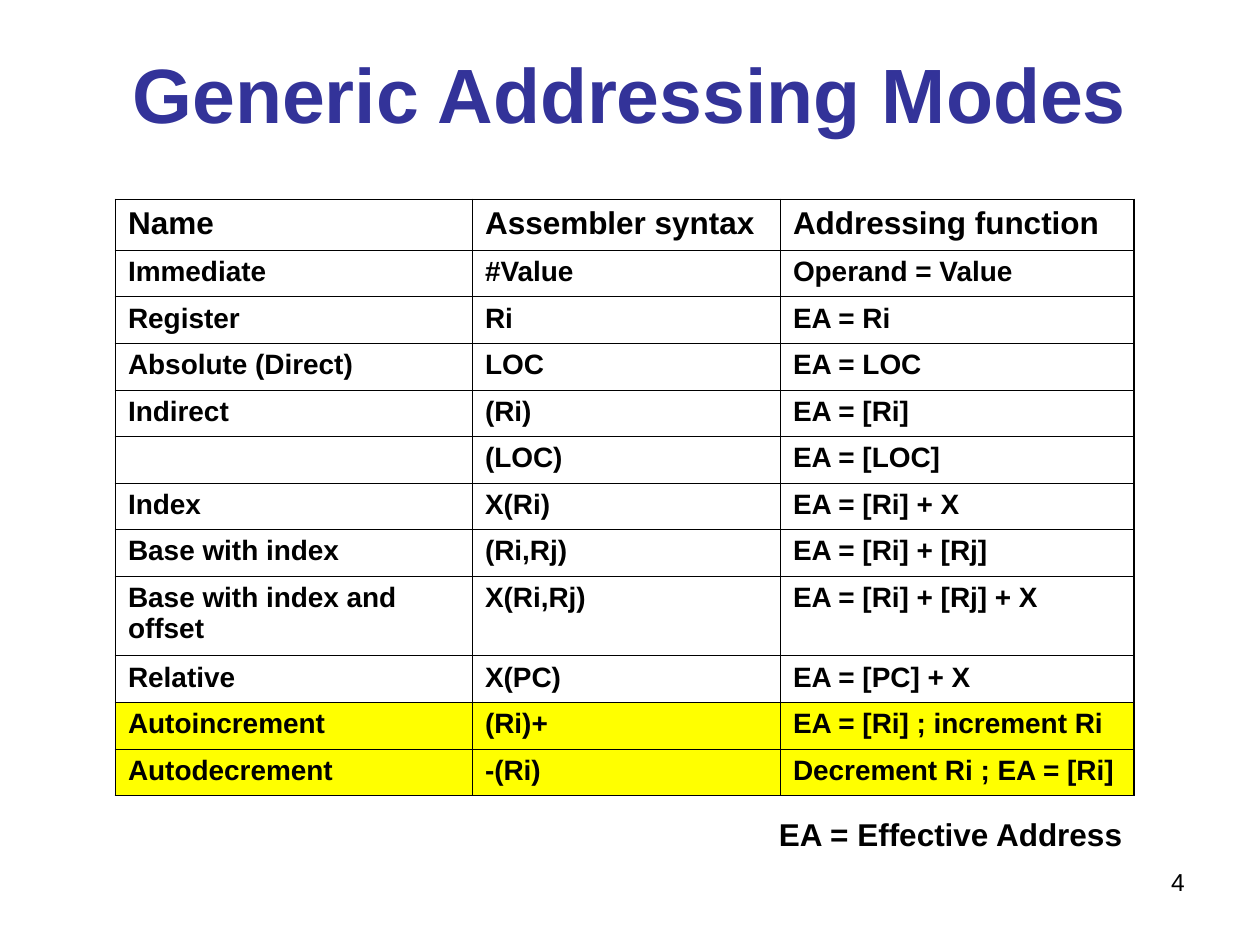
from lxml.etree import SubElement
from pptx import Presentation
from pptx.dml.color import RGBColor
from pptx.enum.text import MSO_ANCHOR as Anchor, MSO_AUTO_SIZE as AutoSize, PP_ALIGN as Align
from pptx.oxml.ns import qn
from pptx.util import Pt

BLACK, NAVY, YELLOW = "000000", "333399", "FFFF00"
THIN, THICK = 0.45, 1.08
COLUMN_WIDTHS = (204, 176, 202)
HEADER_HEIGHT, LINE_HEIGHT, WRAPPED_HEIGHT = 29, 26.6, 45.6

MODES = [
    ("Name", "Assembler syntax", "Addressing function"),
    ("Immediate", "#Value", "Operand = Value"),
    ("Register", "Ri", "EA = Ri"),
    ("Absolute (Direct)", "LOC", "EA = LOC"),
    ("Indirect", "(Ri)", "EA = [Ri]"),
    ("", "(LOC)", "EA = [LOC]"),
    ("Index", "X(Ri)", "EA = [Ri] + X"),
    ("Base with index", "(Ri,Rj)", "EA = [Ri] + [Rj]"),
    ("Base with index and offset", "X(Ri,Rj)", "EA = [Ri] + [Rj] + X"),
    ("Relative", "X(PC)", "EA = [PC] + X"),
    ("Autoincrement", "(Ri)+", "EA = [Ri] ; increment Ri"),
    ("Autodecrement", "-(Ri)", "Decrement Ri ; EA = [Ri]"),
]
HIGHLIGHTED = ("Autoincrement", "Autodecrement")


def color(hex_code):
    """Turn a hex string into a colour."""
    return RGBColor.from_string(hex_code)


def write(frame, wording, size, bold=True, ink=BLACK, align=Align.LEFT):
    """Fill a text frame with one formatted paragraph and return it."""
    frame.text = wording
    paragraph = frame.paragraphs[0]
    paragraph.alignment = align
    font = paragraph.font
    font.name, font.size, font.bold = "Arial", Pt(size), bold
    font.color.rgb = color(ink)
    return paragraph


def place_title(slide, left, top, width, height):
    """Place the heading in the title placeholder."""
    title = slide.shapes.title
    title.left, title.top, title.width, title.height = map(Pt, (left, top, width, height))
    frame = title.text_frame
    frame.auto_size, frame.vertical_anchor = AutoSize.NONE, Anchor.MIDDLE
    write(frame, "Generic Addressing Modes", 44, ink=NAVY, align=Align.CENTER)


def draw_borders(cell, widths):
    """Draw the left, right, top and bottom borders of a cell."""
    properties = cell._tc.get_or_add_tcPr()
    for side, width in zip("LRTB", widths):
        border = SubElement(properties, qn(f"a:ln{side}"), w=str(int(Pt(width))))
        fill = SubElement(border, qn("a:solidFill"))
        SubElement(fill, qn("a:srgbClr"), val=BLACK)


def row_height(row, name):
    """Give the height of a table row."""
    if row == 0:
        return HEADER_HEIGHT
    return WRAPPED_HEIGHT if name.endswith("offset") else LINE_HEIGHT


def place_modes(slide, left, top, width, height):
    """Place the table of addressing modes with a heavier outer frame."""
    last_row, last_column = len(MODES) - 1, len(COLUMN_WIDTHS) - 1
    table = slide.shapes.add_table(
        len(MODES), len(COLUMN_WIDTHS), *map(Pt, (left, top, width, height))
    ).table
    table.first_row = table.horz_banding = False
    for column, column_width in zip(table.columns, COLUMN_WIDTHS):
        column.width = Pt(column_width)
    for r, mode in enumerate(MODES):
        table.rows[r].height = Pt(row_height(r, mode[0]))
        for c, wording in enumerate(mode):
            cell = table.cell(r, c)
            size = 18 if r == 0 else 16
            write(cell.text_frame, wording, size).space_before = Pt(size / 4)
            on_frame = (c == 0, c == last_column, r == 0, r == last_row)
            draw_borders(cell, [THICK if outer else THIN for outer in on_frame])
            if mode[0] in HIGHLIGHTED:
                cell.fill.solid()
                cell.fill.fore_color.rgb = color(YELLOW)
            else:
                cell.fill.background()


def place_legend(slide, left, top, width, height):
    """Place the explanation of the abbreviation EA."""
    frame = slide.shapes.add_textbox(*map(Pt, (left, top, width, height))).text_frame
    frame.word_wrap, frame.auto_size = False, AutoSize.SHAPE_TO_FIT_TEXT
    write(frame, "EA = Effective Address", 18)


def place_page_number(slide, left, top, width, height):
    """Place the page number at the right of its box."""
    frame = slide.shapes.add_textbox(*map(Pt, (left, top, width, height))).text_frame
    frame.word_wrap = True
    write(frame, "4", 14, bold=False, align=Align.RIGHT)


def main():
    """Build and save the slide."""
    deck = Presentation()
    deck.slide_width, deck.slide_height = Pt(720), Pt(540)
    slide = deck.slides.add_slide(deck.slide_layouts[5])
    place_page_number(slide, 516, 492, 168, 37.5)
    place_title(slide, 36, 21.6, 648, 62.6)
    place_modes(slide, 66, 114, sum(COLUMN_WIDTHS), 341)
    place_legend(slide, 438, 462, 211.5, 29)
    deck.save("out.pptx")


if __name__ == "__main__":
    main()
